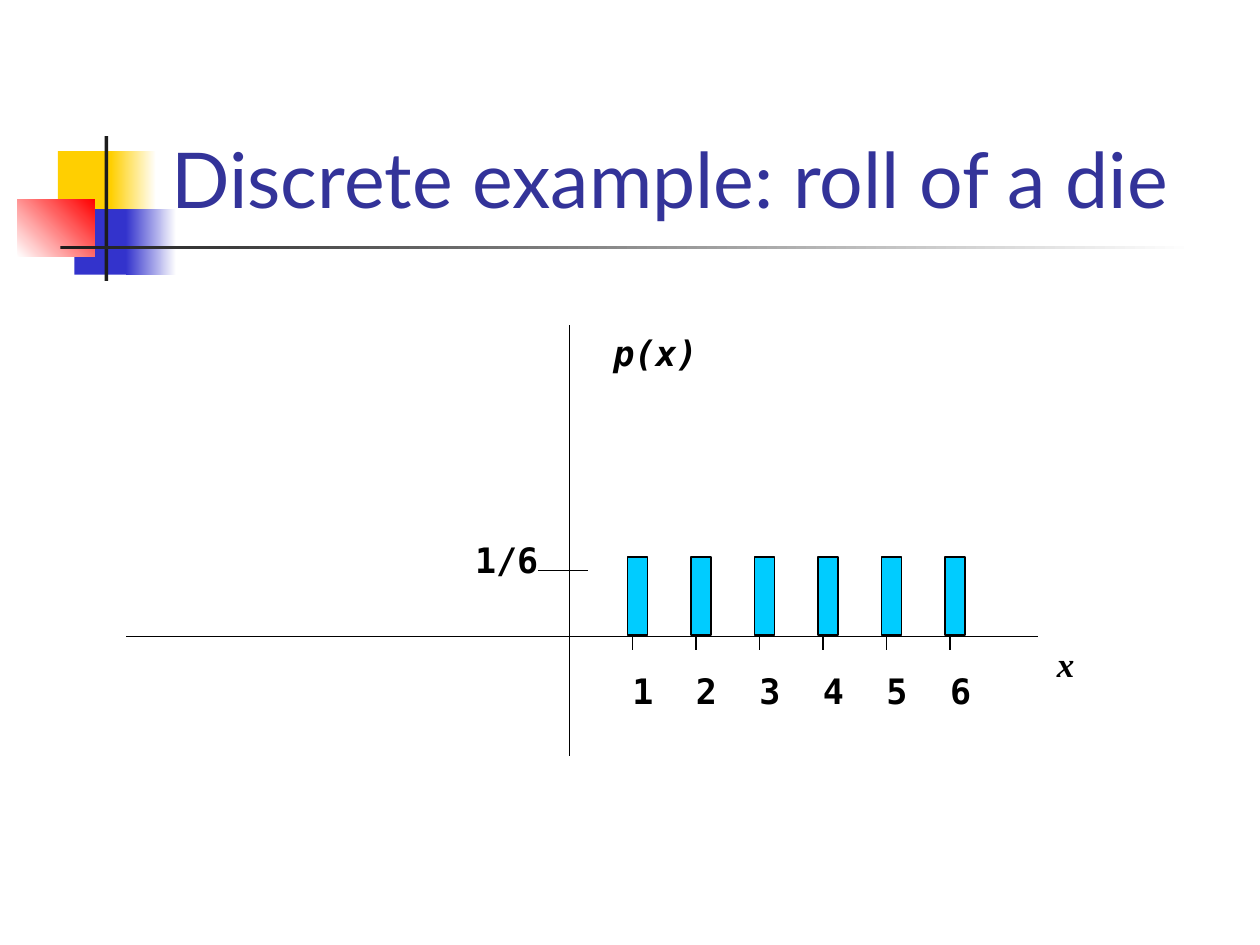
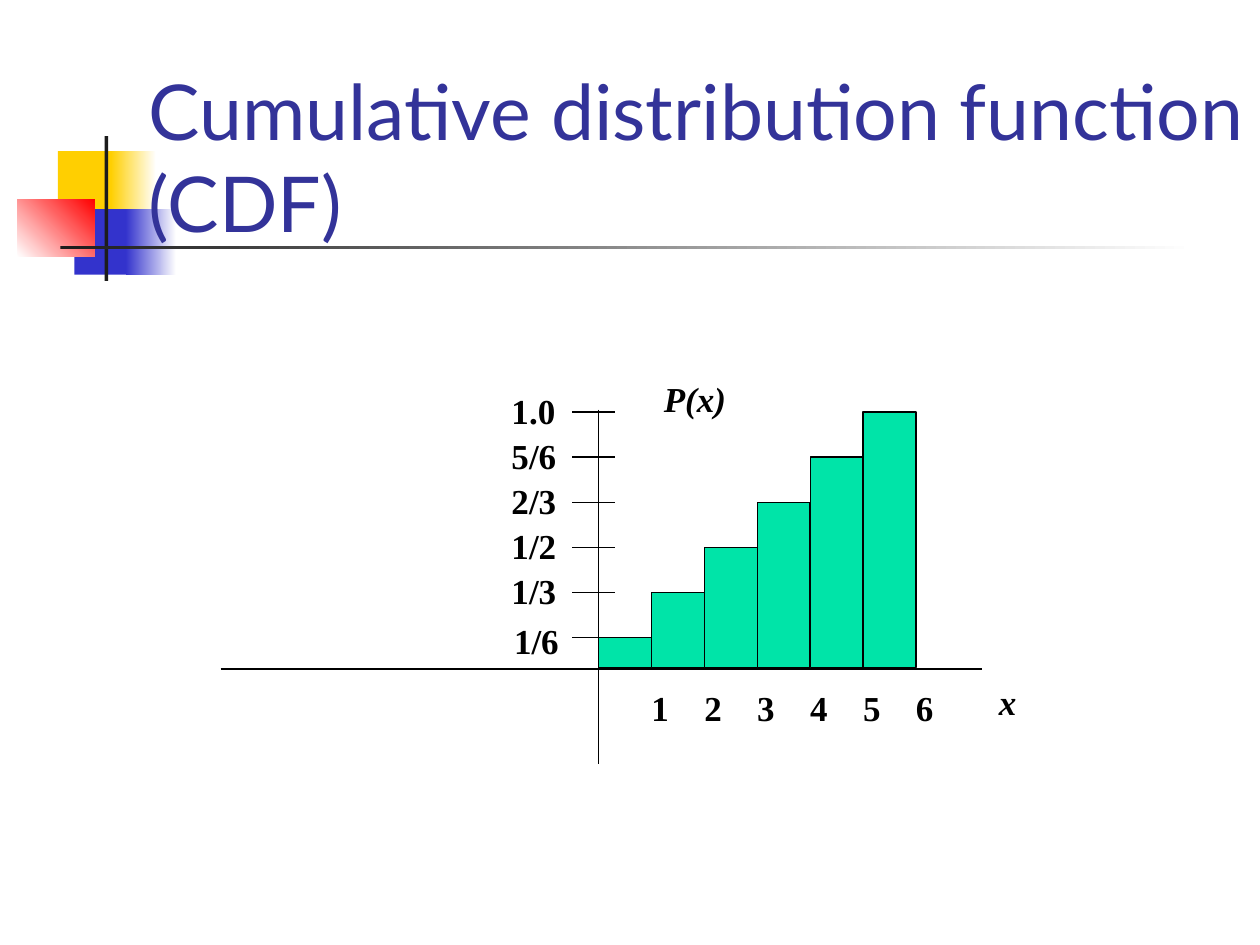
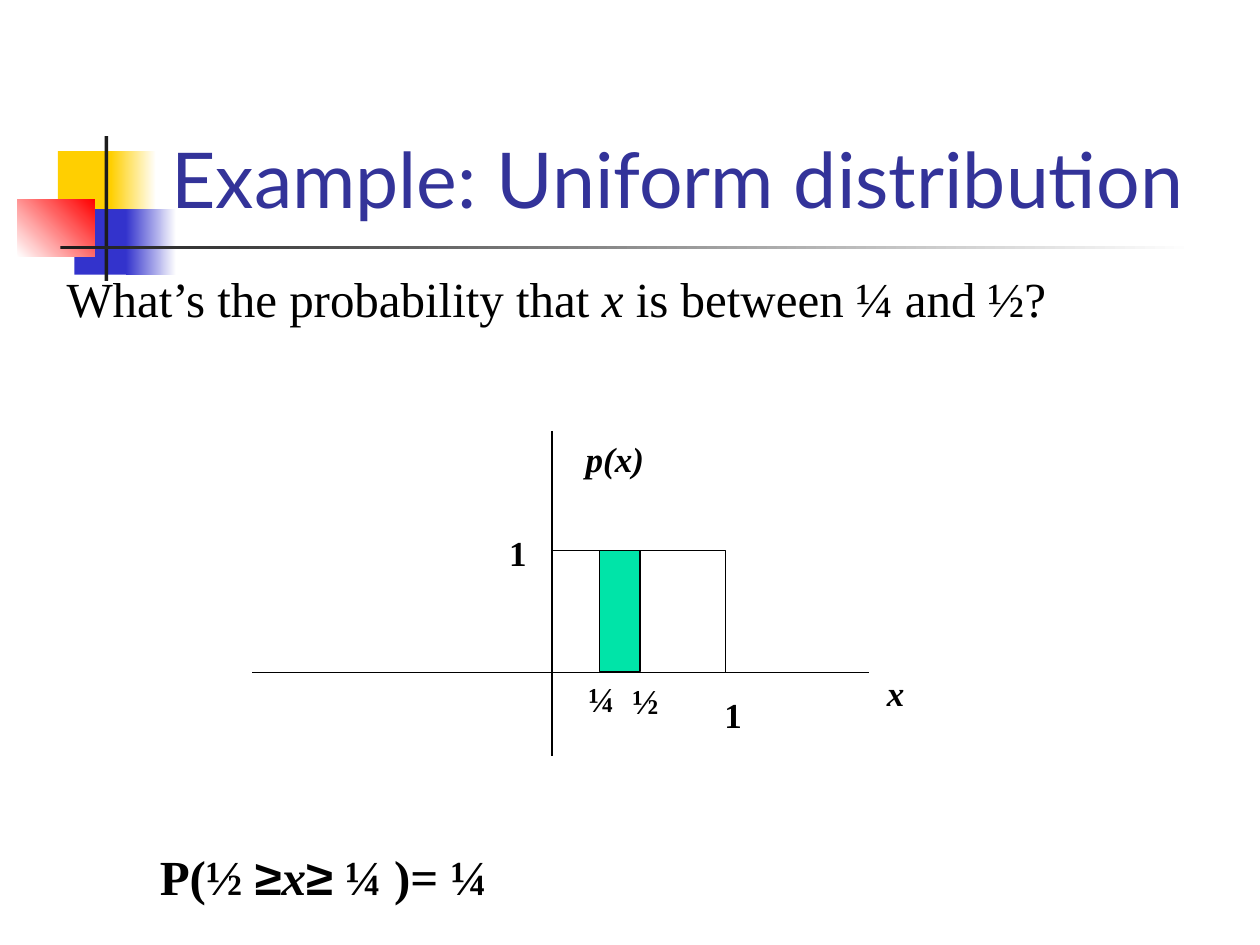
import pptx
import pptx.dml.color
import pptx.enum.shapes
import pptx.enum.text
import pptx.oxml
import pptx.oxml.ns
import pptx.util
from pptx.util import Inches

BLACK, WHITE, CHARCOAL = "000000", "FFFFFF", "1C1C1C"
YELLOW, BLUE, RED = "FFCF01", "3333CC", "FF0000"
TITLE_BLUE, CYAN, GREEN = "333399", "00CCFF", "00E4A8"
SERIF, MONO, SANS, TITLE_FONT = "Times New Roman", "DejaVu Sans Mono", "Arial", "Lato"
TITLE_ONLY = 5
TITLE_BOX = (1.26, 0.23, 8.52, 1.6)
OUTCOMES = range(1, 7)


def color(hex_code):
    """Turn a hex string into a colour."""
    return pptx.dml.color.RGBColor.from_string(hex_code)


def add_run(paragraph, text, font=SERIF, size=20, bold=True, italic=False, fill=BLACK):
    """Append formatted text to a paragraph."""
    run = paragraph.add_run()
    run.text = text
    run.font.name = font
    run.font.size = pptx.util.Pt(size)
    run.font.bold = bold
    run.font.italic = italic
    run.font.color.rgb = color(fill)


def add_text(slide, box, runs, inset=(0, 0), **style):
    """Add a text box holding one paragraph of (text, overrides) runs."""
    frame = slide.shapes.add_textbox(*map(Inches, box)).text_frame
    frame.word_wrap = True
    frame.margin_left = frame.margin_right = Inches(inset[0])
    frame.margin_top = frame.margin_bottom = Inches(inset[1])
    for text, overrides in runs:
        add_run(frame.paragraphs[0], text, **{**style, **overrides})


def add_label(slide, text, left, top, width=0.2, font=SERIF):
    """Add a bold value label without insets."""
    add_text(slide, (left, top, width, 0.31), [(text, {})], font=font)


def add_axis_name(slide, text, left, top, font=SERIF):
    """Add a bold italic axis name."""
    add_text(slide, (left, top, 1, 0.43), [(text, {})], inset=(0.1, 0.05),
             font=font, italic=True)


def add_rectangle(slide, box, fill=None, fade_to=None, angle=0, outline=None):
    """Add a plain, fading or unfilled rectangle."""
    rectangle = slide.shapes.add_shape(
        pptx.enum.shapes.MSO_SHAPE.RECTANGLE, *map(Inches, box))
    rectangle.shadow.inherit = False
    if fade_to:
        rectangle.fill.gradient()
        rectangle.fill.gradient_angle = angle
        for stop, shade in zip(rectangle.fill.gradient_stops, (fill, fade_to)):
            stop.color.rgb = color(shade)
    elif fill:
        rectangle.fill.solid()
        rectangle.fill.fore_color.rgb = color(fill)
    else:
        rectangle.fill.background()
    if outline:
        rectangle.line.color.rgb = color(outline)
        rectangle.line.width = pptx.util.Pt(0.75)
    else:
        rectangle.line.fill.background()
    return rectangle


def add_line(slide, x1, y1, x2, y2):
    """Add a thin black line."""
    line = slide.shapes.add_connector(
        pptx.enum.shapes.MSO_CONNECTOR.STRAIGHT, *map(Inches, (x1, y1, x2, y2)))
    line.line.color.rgb = color(BLACK)
    line.line.width = pptx.util.Pt(0.75)
    properties = line.element.spPr
    properties.append(properties.makeelement(pptx.oxml.ns.qn("a:effectLst"), {}))


def add_axes(slide, origin, left, right, top, bottom):
    """Draw a vertical and a horizontal axis through the origin."""
    x, y = origin
    add_line(slide, x, top, x, bottom)
    add_line(slide, left, y, right, y)


def add_titled_slide(deck, title, box=TITLE_BOX):
    """Add a slide with a formatted title."""
    slide = deck.slides.add_slide(deck.slide_layouts[TITLE_ONLY])
    heading = slide.shapes.title
    heading.left, heading.top, heading.width, heading.height = map(Inches, box)
    frame = heading.text_frame
    frame.word_wrap = True
    frame.auto_size = pptx.enum.text.MSO_AUTO_SIZE.NONE
    frame.vertical_anchor = pptx.enum.text.MSO_ANCHOR.BOTTOM
    frame.paragraphs[0].alignment = pptx.enum.text.PP_ALIGN.LEFT
    add_run(frame.paragraphs[0], title, font=TITLE_FONT, size=44, bold=False,
            fill=TITLE_BLUE)
    return slide


def decorate_layout(layout, slide):
    """Draw the title ornament and move it to the shared layout."""
    for placeholder in list(layout.placeholders)[1:]:
        layout.shapes.element.remove(placeholder.element)
    ornament = [
        add_rectangle(slide, (0.46, 1.2, 0.48, 0.52), YELLOW),
        add_rectangle(slide, (0.88, 1.2, 0.36, 0.52), YELLOW, WHITE),
        add_rectangle(slide, (0.59, 1.66, 0.46, 0.52), BLUE),
        add_rectangle(slide, (1, 1.66, 0.4, 0.52), BLUE, WHITE),
        add_rectangle(slide, (0.14, 1.58, 0.61, 0.46), WHITE, RED, angle=45),
        add_rectangle(slide, (0.83, 1.08, 0.03, 1.15), CHARCOAL),
        add_rectangle(slide, (0.48, 1.95, 9, 0.03), CHARCOAL, WHITE),
    ]
    for position, part in enumerate(ornament, start=2):
        layout.shapes.element.insert(position, part.element)


def build_die_slide(deck):
    """Show the probability of each face of a die."""
    slide = add_titled_slide(deck, "Discrete example: roll of a die")
    decorate_layout(deck.slide_layouts[TITLE_ONLY], slide)
    first_tick, pitch = 5.02, 2.52 / 5
    add_axes(slide, (4.52, 5.05), left=1, right=8.24, top=2.58, bottom=6)
    add_axis_name(slide, "x", 8.29, 5.05)
    add_axis_name(slide, "p(x)", 4.77, 2.58, font=MONO)
    add_line(slide, 4.27, 4.53, 4.67, 4.53)
    add_label(slide, "1/6", 3.77, 4.27, width=0.52, font=MONO)
    for face in OUTCOMES:
        x = first_tick + (face - 1) * pitch
        add_line(slide, x, 4.79, x, 5.16)
        add_label(slide, str(face), x, 5.31, font=MONO)
        add_rectangle(slide, (x - 0.04, 4.42, 0.16, 0.62), CYAN, outline=BLACK)


def build_cumulative_slide(deck):
    """Show the cumulative probabilities as rising steps."""
    slide = add_titled_slide(deck, "Cumulative distribution function (CDF)",
                             box=(1.08, 0.42, 9.28, 1.6))
    origin_x, step_width, base = 4.75, 0.42, 5.3
    lowest, rise = 5.06, 1.79 / 5
    levels = ["1/6", "1/3", "1/2", "2/3", "5/6", "1.0"]
    for face, level in zip(OUTCOMES, levels):
        left = origin_x + (face - 1) * step_width
        top = lowest - (face - 1) * rise
        add_rectangle(slide, (left, top, step_width, base - top), GREEN, outline=BLACK)
        add_line(slide, 4.54, top, 4.88, top)
        add_label(slide, str(face), left + step_width, 5.45)
        label_left, lift = (4.08, 0.14) if face == 1 else (4.06, 0.18)
        add_label(slide, level, label_left, top - lift, width=0.44)
    add_axes(slide, (origin_x, 5.31), left=1.75, right=7.79, top=3.25, bottom=6.06)
    add_axis_name(slide, "x", 7.83, 5.35)
    add_axis_name(slide, "P(x)", 5.17, 2.95)


def build_uniform_slide(deck):
    """Show a probability as an area under a uniform density."""
    slide = add_titled_slide(deck, "Example: Uniform distribution")
    add_text(slide, (0.43, 2.08, 9.5, 0.52),
             [("What’s the probability that ", {}), ("x", {"italic": True}),
              (" is between ¼ and ½?", {})],
             inset=(0.1, 0.05), size=28, bold=False)
    add_axes(slide, (4.38, 5.34), left=2, right=6.9, top=3.42, bottom=6)
    add_axis_name(slide, "x", 6.94, 5.28)
    add_axis_name(slide, "p(x)", 4.55, 3.42)
    add_rectangle(slide, (4.38, 4.37, 1.38, 0.97), outline=BLACK)
    add_rectangle(slide, (4.76, 4.37, 0.32, 0.96), GREEN, outline=BLACK)
    for text, left, top in [("1", 4.04, 4.22), ("1", 5.75, 5.5),
                            ("¼", 4.67, 5.38), ("½", 5.02, 5.39)]:
        add_label(slide, text, left, top, width=0.3)
    add_text(slide, (1.17, 6.67, 8, 0.52),
             [("P(½ ", {}), ("≥", {"font": SANS}), ("x", {"italic": True}),
              ("≥", {"font": SANS}), (" ¼ )= ¼", {})],
             inset=(0.1, 0.05), size=28)


def main():
    """Build and save the three slides."""
    deck = pptx.Presentation()
    deck.slide_width, deck.slide_height = Inches(10), Inches(7.5)
    build_die_slide(deck)
    build_cumulative_slide(deck)
    build_uniform_slide(deck)
    deck.save("out.pptx")


if __name__ == "__main__":
    main()
